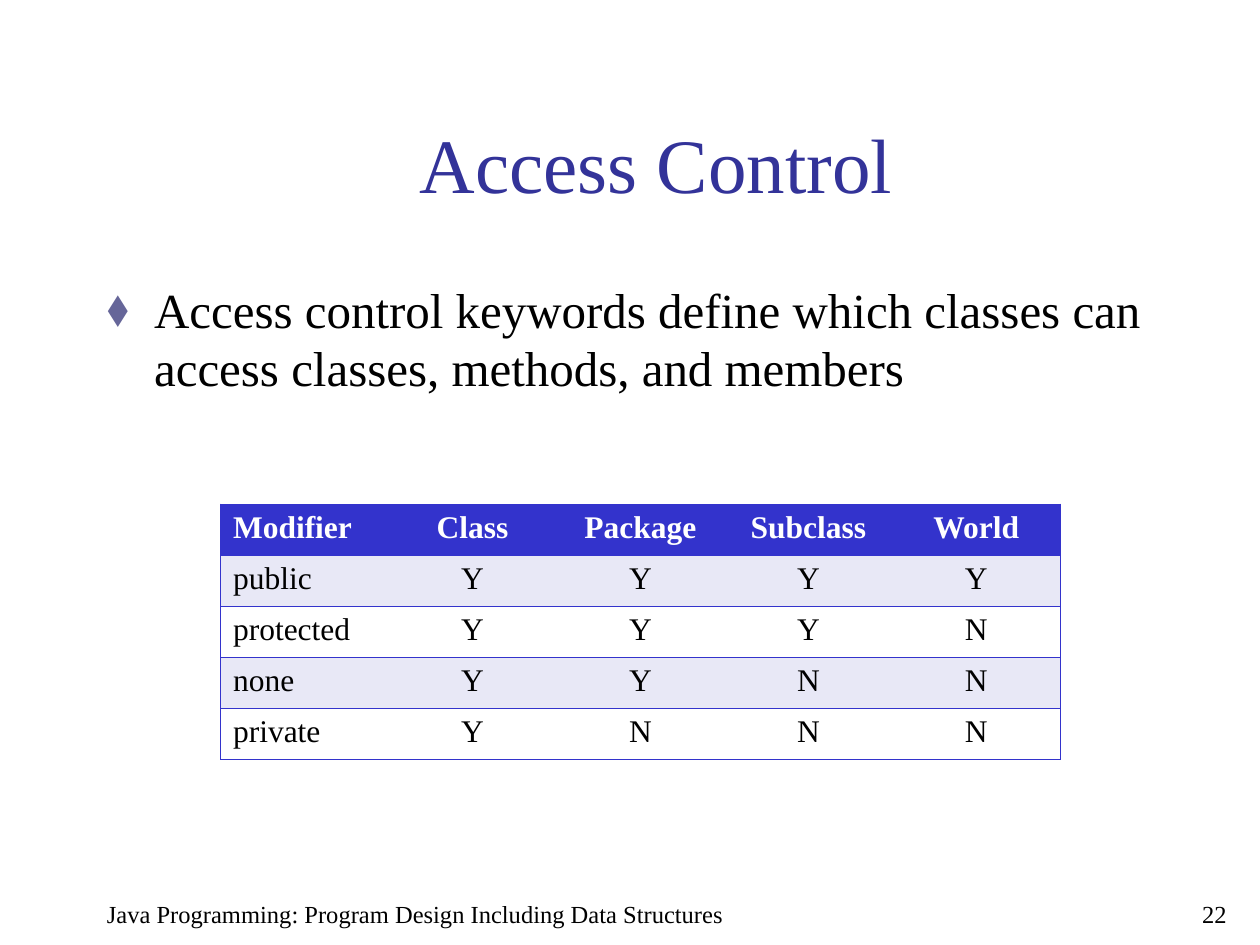
from lxml import etree
from pptx import Presentation
from pptx.dml.color import RGBColor
from pptx.enum import text
from pptx.oxml.ns import qn
from pptx.util import Pt

FONT = "Times New Roman"
INK, WHITE, BLUE, STRIPE = "000000", "FFFFFF", "3333CC", "E8E8F6"
LEFT, CENTER, RIGHT = text.PP_ALIGN.LEFT, text.PP_ALIGN.CENTER, text.PP_ALIGN.RIGHT
TOP, MIDDLE = text.MSO_ANCHOR.TOP, text.MSO_ANCHOR.MIDDLE

# wording, (left, top, width, height), size, colour, alignment, anchor
TITLE = ("Access Control", (54, 48, 642, 90), 44, "333399", CENTER, MIDDLE)
STATEMENT = ("Access control keywords define which classes can access classes, methods, and members",
             (54, 156, 642, 324), 28, INK, LEFT, TOP)
FOOTER = ("Java Programming: Program Design Including Data Structures",
          (54, 510, 588, 18), 14, INK, LEFT, TOP)
PAGE_NUMBER = ("22", (642, 510, 66, 18), 14, INK, RIGHT, TOP)

BULLET = {"char": "⬧", "color": "666699", "indent": 27, "space_before": 7}

ACCESS = [
    ("Modifier", "Class", "Package", "Subclass", "World"),
    ("public", "Y", "Y", "Y", "Y"),
    ("protected", "Y", "Y", "Y", "N"),
    ("none", "Y", "Y", "N", "N"),
    ("private", "Y", "N", "N", "N"),
]
TABLE_LEFT, TABLE_TOP, COLUMN_WIDTH, ROW_HEIGHT = 126, 288, 96, 29.2
BORDER_WIDTH = 0.45


def rgb(color):
    return RGBColor.from_string(color)


def write(paragraph, wording, size, color, align, bold=False):
    paragraph.alignment = align
    run = paragraph.add_run()
    run.text = wording
    for name, value in {"name": FONT, "size": Pt(size), "bold": bold}.items():
        setattr(run.font, name, value)
    run.font.color.rgb = rgb(color)


def add_text(slide, wording, box, size, color, align, anchor):
    frame = slide.shapes.add_textbox(*map(Pt, box)).text_frame
    frame.word_wrap = True
    frame.vertical_anchor = anchor
    write(frame.paragraphs[0], wording, size, color, align)
    return frame.paragraphs[0]


def add_bullet(paragraph, char, color, indent, space_before):
    paragraph.space_before = Pt(space_before)
    props = paragraph._p.get_or_add_pPr()
    props.set("marL", str(Pt(indent)))
    props.set("indent", str(-Pt(indent)))
    bullet_color = etree.SubElement(props, qn("a:buClr"))
    etree.SubElement(bullet_color, qn("a:srgbClr"), val=color)
    etree.SubElement(props, qn("a:buFont"), typeface=FONT)
    etree.SubElement(props, qn("a:buChar"), char=char)


def set_borders(cell, drawn):
    """Draw the named sides (L, R, T, B) and clear the others."""
    props = cell._tc.get_or_add_tcPr()
    for side in "LRTB":
        line = etree.SubElement(props, qn("a:ln" + side), w=str(Pt(BORDER_WIDTH)))
        if side in drawn:
            fill = etree.SubElement(line, qn("a:solidFill"))
            etree.SubElement(fill, qn("a:srgbClr"), val=BLUE)
        else:
            etree.SubElement(line, qn("a:noFill"))


def add_access_table(slide):
    row_count, column_count = len(ACCESS), len(ACCESS[0])
    table = slide.shapes.add_table(
        row_count, column_count, Pt(TABLE_LEFT), Pt(TABLE_TOP),
        Pt(COLUMN_WIDTH * column_count), Pt(ROW_HEIGHT * row_count)).table
    for column in table.columns:
        column.width = Pt(COLUMN_WIDTH)
    for r, row in enumerate(ACCESS):
        table.rows[r].height = Pt(ROW_HEIGHT)
        header = r == 0
        fill = BLUE if header else STRIPE if r % 2 else WHITE
        for c, wording in enumerate(row):
            cell = table.cell(r, c)
            outer = "L" if c == 0 else "R" if c == column_count - 1 else ""
            set_borders(cell, "TB" + outer)
            cell.fill.solid()
            cell.fill.fore_color.rgb = rgb(fill)
            write(cell.text_frame.paragraphs[0], wording, 18, WHITE if header else INK,
                  CENTER if c else LEFT, bold=header)


def main():
    deck = Presentation()
    deck.slide_width, deck.slide_height = Pt(720), Pt(540)
    slide = deck.slides.add_slide(deck.slide_layouts[6])
    add_text(slide, *TITLE)
    add_bullet(add_text(slide, *STATEMENT), **BULLET)
    add_text(slide, *FOOTER)
    add_text(slide, *PAGE_NUMBER)
    add_access_table(slide)
    deck.save("out.pptx")


if __name__ == "__main__":
    main()
